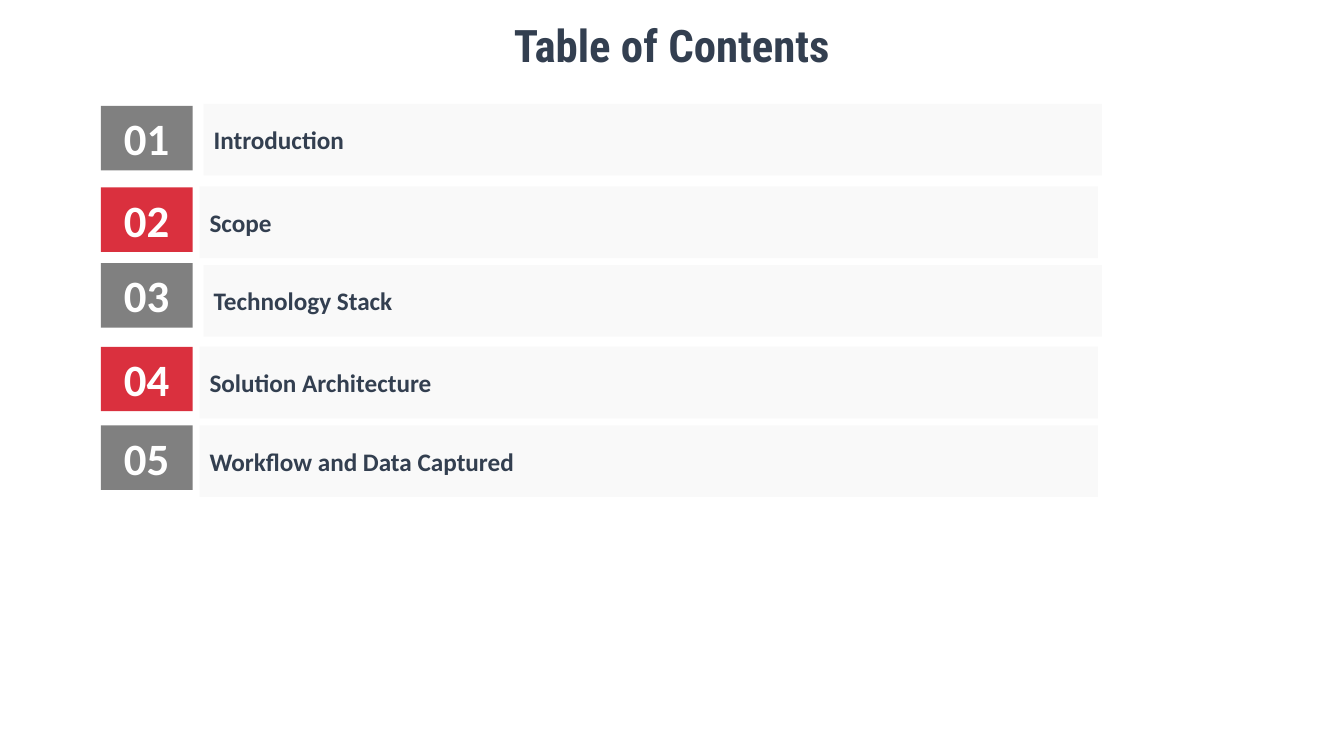
"""Build a table of contents slide with numbered entries."""
import dataclasses

import pptx
import pptx.dml.color
import pptx.enum.shapes
import pptx.enum.text
import pptx.util

SLIDE_W = pptx.util.Inches(13.33)
SLIDE_H = pptx.util.Inches(7.5)
NAVY, WHITE, PALE = "333F50", "FFFFFF", "F9F9F9"
BADGE_FILLS = ("808080", "DA303E")
BADGE_LEFT, BADGE_W, BADGE_H = 7.5, 6.83, 8.53
BAR_W, BAR_H = 66.84, 9.47
BAR_LEFT, BAR_LEFT_INDENTED = 14.85, 15.15


@dataclasses.dataclass(frozen=True)
class Box:
    """Position and size as percentages of the slide."""

    left: float
    top: float
    width: float
    height: float

    def emu(self) -> tuple[int, int, int, int]:
        """Return left, top, width and height in EMU."""
        return (
            round(SLIDE_W * self.left / 100),
            round(SLIDE_H * self.top / 100),
            round(SLIDE_W * self.width / 100),
            round(SLIDE_H * self.height / 100),
        )


@dataclasses.dataclass(frozen=True)
class Entry:
    """One line of the contents, with tops in percent of slide height."""

    title: str
    badge_top: float
    bar_top: float
    bar_left: float = BAR_LEFT


ENTRIES = (
    Entry("Introduction", 14, 13.73, BAR_LEFT_INDENTED),
    Entry("Scope", 24.8, 24.67),
    Entry("Technology Stack", 34.8, 35.07, BAR_LEFT_INDENTED),
    Entry("Solution Architecture", 45.87, 45.87),
    Entry("Workflow and Data Captured", 56.27, 56.27),
)


def rgb(value: str) -> pptx.dml.color.RGBColor:
    """Turn a hex string into a colour."""
    return pptx.dml.color.RGBColor.from_string(value)


def write(sp, text: str, *, size: float, color: str = NAVY, font: str = "Calibri",
          align: str = "LEFT", anchor: str = "MIDDLE", inset: float = 0.1,
          spacing: float = 1.0) -> None:
    """Put one bold paragraph of formatted text in a shape."""
    tf = sp.text_frame
    tf.word_wrap = True
    tf.vertical_anchor = pptx.enum.text.MSO_ANCHOR[anchor]
    tf.margin_left = tf.margin_right = pptx.util.Inches(inset)
    p = tf.paragraphs[0]
    p.alignment = pptx.enum.text.PP_ALIGN[align]
    p.line_spacing = spacing
    r = p.add_run()
    r.text = text
    r.font.name = font
    r.font.size = pptx.util.Pt(size)
    r.font.bold = True
    r.font.color.rgb = rgb(color)


def add_rect(s, box: Box, fill: str):
    """Add a plain filled rectangle without outline or shadow."""
    sp = s.shapes.add_shape(pptx.enum.shapes.MSO_SHAPE.RECTANGLE, *box.emu())
    sp.shadow.inherit = False
    sp.fill.solid()
    sp.fill.fore_color.rgb = rgb(fill)
    sp.line.fill.background()
    return sp


def add_entry(s, index: int, entry: Entry) -> None:
    """Draw the numbered badge and the title bar of one entry."""
    badge = add_rect(s, Box(BADGE_LEFT, entry.badge_top, BADGE_W, BADGE_H),
                     BADGE_FILLS[index % 2])
    write(badge, f"{index + 1:02d}", size=32, color=WHITE, align="CENTER",
          anchor="TOP", inset=0.12)
    badge.text_frame.auto_size = pptx.enum.text.MSO_AUTO_SIZE.SHAPE_TO_FIT_TEXT
    bar = add_rect(s, Box(entry.bar_left, entry.bar_top, BAR_W, BAR_H), PALE)
    write(bar, entry.title, size=18)


def main() -> None:
    """Build and save the slide."""
    prs = pptx.Presentation()
    prs.slide_width, prs.slide_height = SLIDE_W, SLIDE_H
    s = prs.slides.add_slide(prs.slide_layouts[6])
    heading = s.shapes.add_textbox(*Box(0, 0, 100, 12.8).emu())
    write(heading, "Table of Contents", size=32, font="Roboto Condensed",
          align="CENTER", spacing=0.9)
    for index, entry in enumerate(ENTRIES):
        add_entry(s, index, entry)
    prs.save("out.pptx")


if __name__ == "__main__":
    main()
